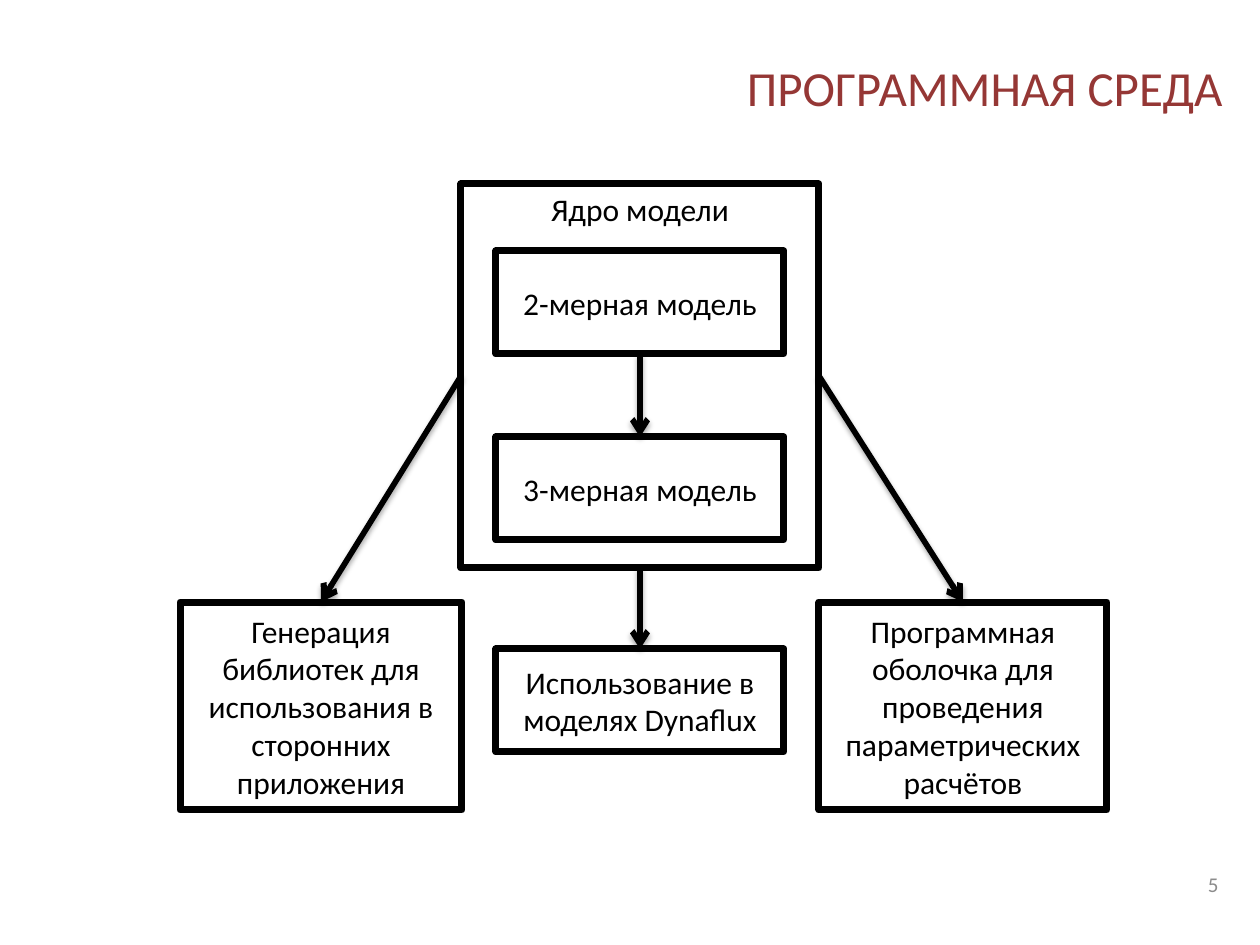
from lxml.etree import SubElement
from pptx import Presentation
from pptx.dml.color import RGBColor
from pptx.enum.shapes import MSO_CONNECTOR, MSO_SHAPE
from pptx.enum.text import MSO_ANCHOR, MSO_AUTO_SIZE, PP_ALIGN
from pptx.oxml import parse_xml
from pptx.oxml.ns import nsdecls, qn
from pptx.util import Emu, Pt

PX = 914400 / 126
BOTTOM, LEFT, TOP, RIGHT = 2, 1, 0, 3
SHADOW = (
    f'<a:effectLst {nsdecls("a")}>'
    '<a:outerShdw blurRad="39370" dist="22860" dir="5400000" rotWithShape="0">'
    '<a:srgbClr val="000000"><a:alpha val="35000"/></a:srgbClr>'
    '</a:outerShdw></a:effectLst>'
)


def px(*lengths):
    return [Emu(round(n * PX)) for n in lengths]


def set_text(sp, text, size, color, align, anchor=MSO_ANCHOR.MIDDLE):
    tf = sp.text_frame
    tf.text = text
    tf.word_wrap = True
    tf.auto_size = MSO_AUTO_SIZE.NONE
    tf.vertical_anchor = anchor
    p = tf.paragraphs[0]
    p.alignment = align
    font = p.runs[0].font
    font.name = "Calibri"
    font.size = Pt(size)
    font.color.rgb = RGBColor.from_string(color)


prs = Presentation()
prs.slide_width, prs.slide_height = px(1260, 945)
s = prs.slides.add_slide(prs.slide_layouts[5])

title = s.shapes.title
title.left, title.top, title.width, title.height = px(323, 38, 912, 97)
set_text(title, "ПРОГРАММНАЯ СРЕДА", 28, "953735", PP_ALIGN.RIGHT)

number = s.shapes.add_textbox(*px(937, 859, 294, 50))
set_text(number, "5", 12, "8C8C8C", PP_ALIGN.RIGHT)

# Boxes: name, left, top, width, height, text
boxes = {}
for name, x, y, w, h, text in [
    ("core", 461, 184, 358, 384, "Ядро модели"),
    ("libraries", 180, 602, 282, 208,
     "Генерация библиотек для использования в сторонних приложения"),
    ("simulation", 496, 649, 288, 103, "Использование в моделях Dynaflux"),
    ("shell", 819, 602, 288, 208,
     "Программная оболочка для проведения параметрических расчётов"),
    ("model_2d", 496, 251, 288, 103, "2-мерная модель"),
    ("model_3d", 496, 437, 288, 103, "3-мерная модель"),
]:
    sp = s.shapes.add_shape(MSO_SHAPE.RECTANGLE, *px(x, y, w, h))
    sp.shadow.inherit = False
    sp.fill.solid()
    sp.fill.fore_color.rgb = RGBColor.from_string("FFFFFF")
    sp.line.color.rgb = RGBColor.from_string("000000")
    sp.line.width = Pt(4)
    anchor = MSO_ANCHOR.TOP if name == "core" else MSO_ANCHOR.MIDDLE
    set_text(sp, text, 18, "000000", PP_ALIGN.CENTER, anchor)
    boxes[name] = sp

# Arrows: each one ends at the top of its target box
for source, side, target in [
    ("core", BOTTOM, "simulation"),
    ("core", RIGHT, "shell"),
    ("core", LEFT, "libraries"),
    ("model_2d", BOTTOM, "model_3d"),
]:
    arrow = s.shapes.add_connector(MSO_CONNECTOR.STRAIGHT, 0, 0, 0, 0)
    arrow.begin_connect(boxes[source], side)
    arrow.end_connect(boxes[target], TOP)
    arrow.line.color.rgb = RGBColor.from_string("000000")
    arrow.line.width = Pt(3.25)
    SubElement(arrow.line._get_or_add_ln(), qn("a:tailEnd"), type="arrow")
    arrow._element.spPr.append(parse_xml(SHADOW))

prs.save("out.pptx")
